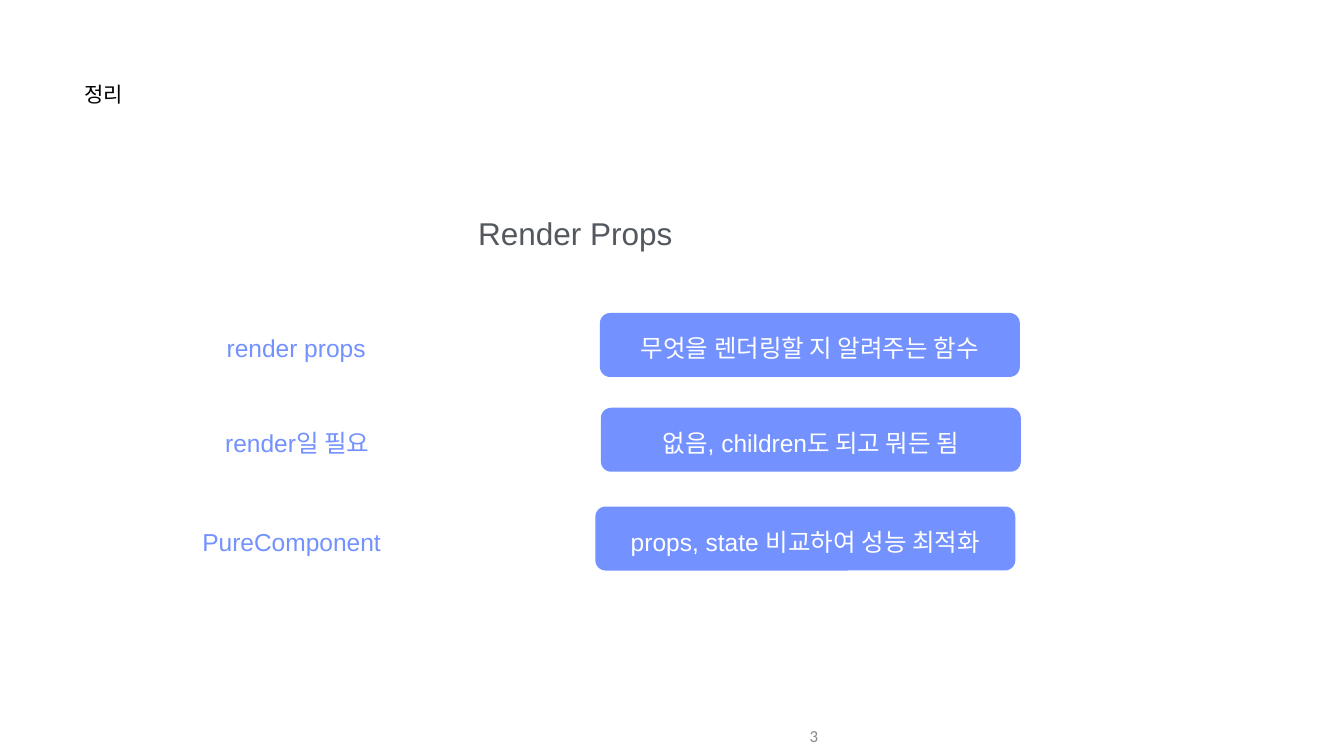
"""Build the Render Props summary slide."""
from pptx import Presentation
from pptx.dml.color import RGBColor
from pptx.enum.shapes import MSO_SHAPE
from pptx.enum.text import MSO_ANCHOR, MSO_AUTO_SIZE, PP_ALIGN
from pptx.util import Inches, Pt

BLUE = "7391FF"
WHITE = "FFFFFF"


def color(value):
    return RGBColor.from_string(value)


def write(shape, text, size, text_color, align=PP_ALIGN.CENTER,
          anchor=MSO_ANCHOR.MIDDLE, font_name="Arial", margin=0.01):
    frame = shape.text_frame
    frame.word_wrap = True
    frame.auto_size = MSO_AUTO_SIZE.NONE
    frame.vertical_anchor = anchor
    frame.margin_left = frame.margin_right = Inches(margin)
    frame.margin_top = frame.margin_bottom = Inches(0.01)
    frame.text = text
    paragraph = frame.paragraphs[0]
    paragraph.alignment = align
    paragraph.line_spacing = 1.0
    paragraph.font.name = font_name
    paragraph.font.size = Pt(size)
    paragraph.font.color.rgb = color(text_color)


presentation = Presentation()
presentation.slide_width = Inches(26.66)
presentation.slide_height = Inches(15)
slide = presentation.slides.add_slide(presentation.slide_layouts[5])

title = slide.shapes.title
title.left, title.top = Inches(1.67), Inches(1.6)
title.width, title.height = Inches(4.86), Inches(1.18)
write(title, "정리", 30, "000000", PP_ALIGN.LEFT, MSO_ANCHOR.TOP)

heading = slide.shapes.add_textbox(Inches(2.64), Inches(4.24), Inches(17.54), Inches(0.79))
write(heading, "Render Props", 45, "53585F", anchor=MSO_ANCHOR.TOP)

page_number = slide.shapes.add_textbox(Inches(10.33), Inches(14.21), Inches(6), Inches(0.79))
write(page_number, "3", 24, "888888", PP_ALIGN.RIGHT, font_name="Calibri", margin=0.1)

rows = [
    (2.75, 6.21, "render props", "무엇을 렌더링할 지 알려주는 함수"),
    (2.77, 8.09, "render일 필요", "없음, children도 되고 뭐든 됨"),
    (2.66, 10.05, "PureComponent", "props, state 비교하여 성능 최적화"),
]
for left, top, term, meaning in rows:
    label = slide.shapes.add_textbox(Inches(left), Inches(top + 0.38), Inches(6.25), Inches(0.62))
    write(label, term, 35, BLUE)

    box = slide.shapes.add_shape(MSO_SHAPE.ROUNDED_RECTANGLE, Inches(left + 9.15),
                                 Inches(top), Inches(8.33), Inches(1.27))
    box.adjustments[0] = 0.16
    box.shadow.inherit = False
    box.fill.solid()
    box.fill.fore_color.rgb = color(BLUE)
    box.line.fill.background()
    write(box, meaning, 35, WHITE)
    box.text_frame.margin_top = Inches(0.12)

presentation.save("out.pptx")
